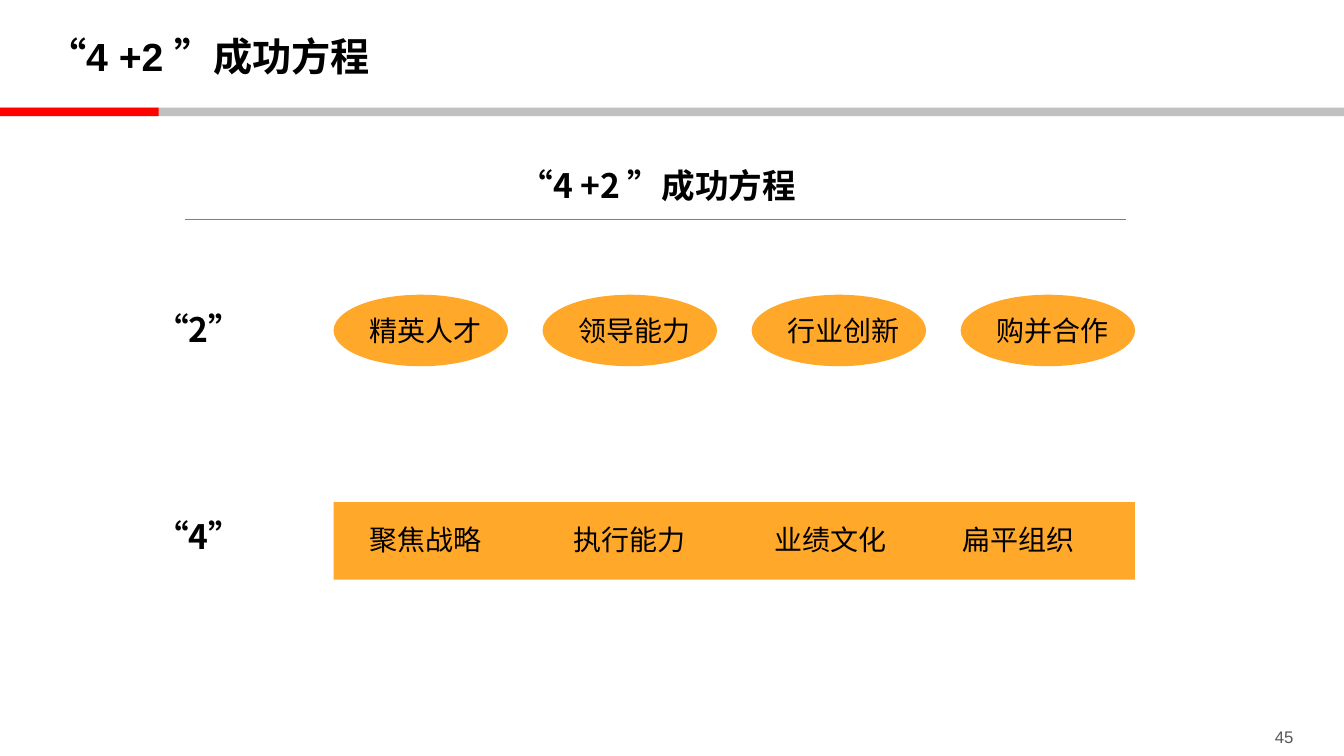
from lxml import etree
from pptx import Presentation
from pptx.dml.color import RGBColor
from pptx.enum.lang import MSO_LANGUAGE_ID
from pptx.enum.shapes import MSO_CONNECTOR, MSO_SHAPE
from pptx.enum.text import MSO_ANCHOR, PP_ALIGN
from pptx.oxml.ns import qn
from pptx.util import Pt

RECT, OVAL, LINE = MSO_SHAPE.RECTANGLE, MSO_SHAPE.OVAL, MSO_CONNECTOR.STRAIGHT
LEFT, CENTER, RIGHT = PP_ALIGN.LEFT, PP_ALIGN.CENTER, PP_ALIGN.RIGHT
TOP, MIDDLE = MSO_ANCHOR.TOP, MSO_ANCHOR.MIDDLE
CHINESE = MSO_LANGUAGE_ID.SIMPLIFIED_CHINESE
CJK = "Noto Sans CJK SC"
ORANGE = "FFA829"
HEADING = "“4 +2 ”成功方程"


def add_block(kind, x, y, w, h, color):
    sp = s.shapes.add_shape(kind, Pt(x), Pt(y), Pt(w), Pt(h))
    sp.shadow.inherit = False
    sp.fill.solid()
    sp.fill.fore_color.rgb = RGBColor.from_string(color)
    sp.line.fill.background()
    return sp


def write(sp, text, size, font=CJK, color="000000", bold=False,
          align=LEFT, anchor=TOP, wrap=True):
    tf = sp.text_frame
    tf.word_wrap = wrap
    tf.vertical_anchor = anchor
    p = tf.paragraphs[0]
    p.text = text
    p.alignment = align
    r = p.runs[0]
    r.font.size = Pt(size)
    r.font.bold = bold
    r.font.name = font
    r.font.color.rgb = RGBColor.from_string(color)
    r.font.language_id = CHINESE
    # East Asian typeface
    ea = etree.SubElement(r._r.get_or_add_rPr(), qn("a:ea"))
    ea.set("typeface", CJK)


prs = Presentation()
prs.slide_width, prs.slide_height = Pt(960), Pt(540)
s = prs.slides.add_slide(prs.slide_layouts[6])

# Header band
add_block(RECT, 0, 77, 960, 6, "C0C0C0")
add_block(RECT, 0, 77, 113.3, 6, "FF0000")

# Page title, chart heading and page number
sp = s.shapes.add_textbox(Pt(26.6), Pt(7.2), Pt(695.5), Pt(65.5))
write(sp, HEADING, 28, font="Arial", bold=True, anchor=MIDDLE)
sp = s.shapes.add_textbox(Pt(337), Pt(108), Pt(265.7), Pt(49))
write(sp, HEADING, 24, bold=True, align=CENTER, anchor=MIDDLE)
sp = s.shapes.add_textbox(Pt(873.4), Pt(515.5), Pt(57.6), Pt(20.2))
write(sp, "45", 12, font="Arial", color="595959", align=RIGHT)

# Rule under the heading
line = s.shapes.add_connector(LINE, Pt(132), Pt(157), Pt(804), Pt(157))
line.line.color.rgb = RGBColor.from_string("808080")
line.line.width = Pt(0.75)
etree.SubElement(line._element.spPr, qn("a:effectLst"))

# Row labels
for label, y in [("“2”", 217.4), ("“4”", 365)]:
    sp = s.shapes.add_textbox(Pt(103.7), Pt(y), Pt(80), Pt(36))
    write(sp, label, 24, bold=True)

# "2" row: ovals
for i, skill in enumerate(["精英人才", "领导能力", "行业创新", "购并合作"]):
    sp = add_block(OVAL, 238.3 + 149.3 * i, 210.5, 124.6, 51.1, ORANGE)
    write(sp, skill, 20, anchor=MIDDLE, wrap=False)

# "4" row: one bar with four labels
add_block(RECT, 238.3, 358.6, 572.4, 55.4, ORANGE)
for practice, x, inset in [("聚焦战略", 257, 7.2), ("执行能力", 402.5, 7.2),
                           ("业绩文化", 532.8, 20.6), ("扁平组织", 658, 29.6)]:
    sp = s.shapes.add_textbox(Pt(x), Pt(370), Pt(153.4), Pt(31.7))
    sp.text_frame.margin_left = Pt(inset)
    write(sp, practice, 20)

prs.save("out.pptx")
